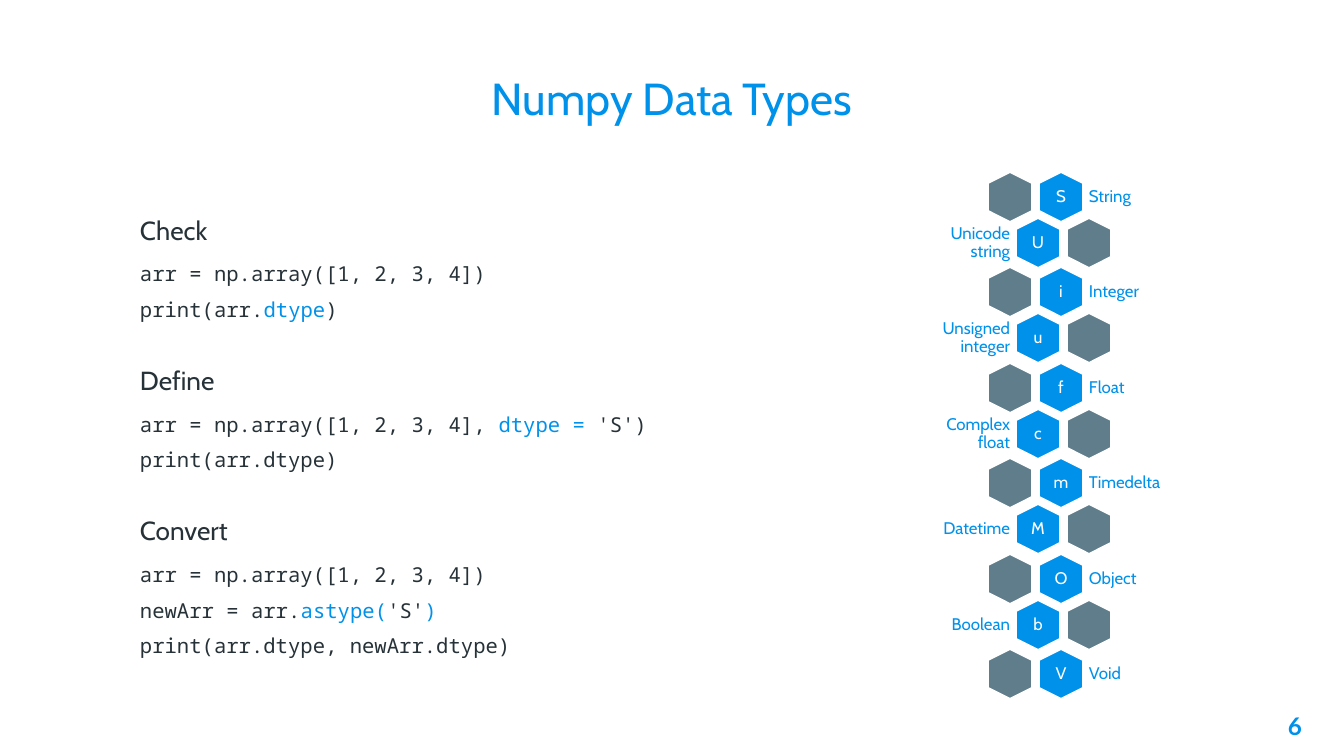
from dataclasses import dataclass

from pptx import Presentation
from pptx.dml.color import RGBColor
from pptx.enum.shapes import MSO_SHAPE as Shape
from pptx.enum.text import MSO_ANCHOR as Anchor, PP_ALIGN as Align
from pptx.util import Emu, Pt

EMU_PER_PX = 914400 / 134.4


def px(length):
    return Emu(round(length * EMU_PER_PX))


@dataclass(frozen=True)
class Theme:
    accent: str = "0091EA"
    ink: str = "263238"
    slate: str = "607D8B"
    white: str = "FFFFFF"
    sans: str = "Cabin"
    mono: str = "Noto Sans Mono"
    number_font: str = "Lato"
    title_size: int = 24
    heading_size: int = 14
    code_size: int = 11
    label_size: int = 9
    number_size: int = 13
    outline: int = 2


class Deck:
    def __init__(self, theme, width, height):
        self.theme = theme
        self.presentation = Presentation()
        self.presentation.slide_width = px(width)
        self.presentation.slide_height = px(height)
        self.slide = None

    def add_slide(self):
        self.slide = self.presentation.slides.add_slide(self.presentation.slide_layouts[5])

    def frame(self, holder, inset, anchor):
        frame = holder.text_frame
        frame.word_wrap = True
        frame.vertical_anchor = anchor
        frame.margin_left = frame.margin_right = px(inset)
        frame.margin_top = frame.margin_bottom = px(inset)
        return frame

    def run(self, paragraph, text, font, size, color, bold=False):
        run = paragraph.add_run()
        run.text = text
        run.font.name = font
        run.font.size = Pt(size)
        run.font.bold = bold
        run.font.color.rgb = RGBColor.from_string(color)

    def title(self, text, left, top, width, height):
        title = self.slide.shapes.title
        title.left, title.top = px(left), px(top)
        title.width, title.height = px(width), px(height)
        paragraph = self.frame(title, 13, Anchor.MIDDLE).paragraphs[0]
        paragraph.alignment = Align.CENTER
        self.run(paragraph, text, self.theme.sans, self.theme.title_size, self.theme.accent)

    def text_box(self, left, top, width, height, inset, anchor):
        box = self.slide.shapes.add_textbox(px(left), px(top), px(width), px(height))
        return self.frame(box, inset, anchor)

    def examples(self, sections, left, top, width, height):
        theme = self.theme
        frame = self.text_box(left, top, width, height, 13, Anchor.MIDDLE)
        for index, (heading, lines) in enumerate(sections):
            paragraph = frame.add_paragraph() if index else frame.paragraphs[0]
            paragraph.space_before = Pt(22.8 if index else 0)
            paragraph.space_after = Pt(2.7)
            self.run(paragraph, heading, theme.sans, theme.heading_size, theme.ink)
            for line in lines:
                paragraph = frame.add_paragraph()
                paragraph.space_before = Pt(6)
                paragraph.line_spacing = Pt(13.1)
                for text, color in line:
                    self.run(paragraph, text, theme.mono, theme.code_size, color)

    def hexagon(self, center_x, center_y, color):
        width, height = 52, 46
        hexagon = self.slide.shapes.add_shape(
            Shape.HEXAGON, px(center_x - width / 2), px(center_y - height / 2), px(width), px(height))
        hexagon.rotation = 90
        hexagon.adjustments[0] = 0.25
        hexagon.shadow.inherit = False
        hexagon.fill.solid()
        hexagon.fill.fore_color.rgb = RGBColor.from_string(color)
        hexagon.line.color.rgb = RGBColor.from_string(self.theme.white)
        hexagon.line.width = Pt(self.theme.outline)

    def label(self, text, left, center_y, width, align, color):
        height = 36
        frame = self.text_box(left, center_y - height / 2, width, height, 5, Anchor.MIDDLE)
        paragraph = frame.paragraphs[0]
        paragraph.alignment = align
        paragraph.line_spacing = 0.9
        self.run(paragraph, text, self.theme.sans, self.theme.label_size, color)

    def page_number(self, number, left, top, width, height):
        paragraph = self.text_box(left, top, width, height, 13, Anchor.TOP).paragraphs[0]
        paragraph.alignment = Align.RIGHT
        self.run(paragraph, number, self.theme.number_font, self.theme.number_size,
                 self.theme.accent, bold=True)


def main():
    theme = Theme()
    ink, accent = theme.ink, theme.accent
    array_line = [("arr = np.array([1, 2, 3, 4])", ink)]
    sections = [
        ("Check", [
            array_line,
            [("print(arr.", ink), ("dtype", accent), (")", ink)],
        ]),
        ("Define", [
            [("arr = np.array([1, 2, 3, 4], ", ink), ("dtype =", accent), (" 'S')", ink)],
            [("print(arr.dtype)", ink)],
        ]),
        ("Convert", [
            array_line,
            [("newArr = arr.", ink), ("astype(", accent), ("'S'", ink), (")", accent)],
            [("print(arr.dtype, newArr.dtype)", ink)],
        ]),
    ]
    type_codes = [
        ("S", "String"), ("U", "Unicode string"), ("i", "Integer"), ("u", "Unsigned integer"),
        ("f", "Float"), ("c", "Complex float"), ("m", "Timedelta"), ("M", "Datetime"),
        ("O", "Object"), ("b", "Boolean"), ("V", "Void"),
    ]

    deck = Deck(theme, 1344, 756)
    deck.add_slide()
    deck.title("Numpy Data Types", 116, 46, 1112, 103)
    deck.examples(sections, 127, 169, 1101, 534)
    deck.page_number("6", 1235, 698, 80, 57)

    for row, (code, meaning) in enumerate(type_codes):
        pair, label_on_left = divmod(row, 2)
        center_y = 197 + pair * 191 // 2 + label_on_left * 46
        if label_on_left:
            code_x, blank_x = 1038, 1089
            label_left, label_width, align = 926, 89, Align.RIGHT
        else:
            code_x, blank_x = 1061, 1010
            label_left, label_width, align = 1084, 92, Align.LEFT
        deck.hexagon(code_x, center_y, accent)
        deck.label(code, code_x - 16, center_y, 32, Align.CENTER, theme.white)
        deck.label(meaning, label_left, center_y, label_width, align, accent)
        deck.hexagon(blank_x, center_y, theme.slate)

    deck.presentation.save("out.pptx")


if __name__ == "__main__":
    main()
